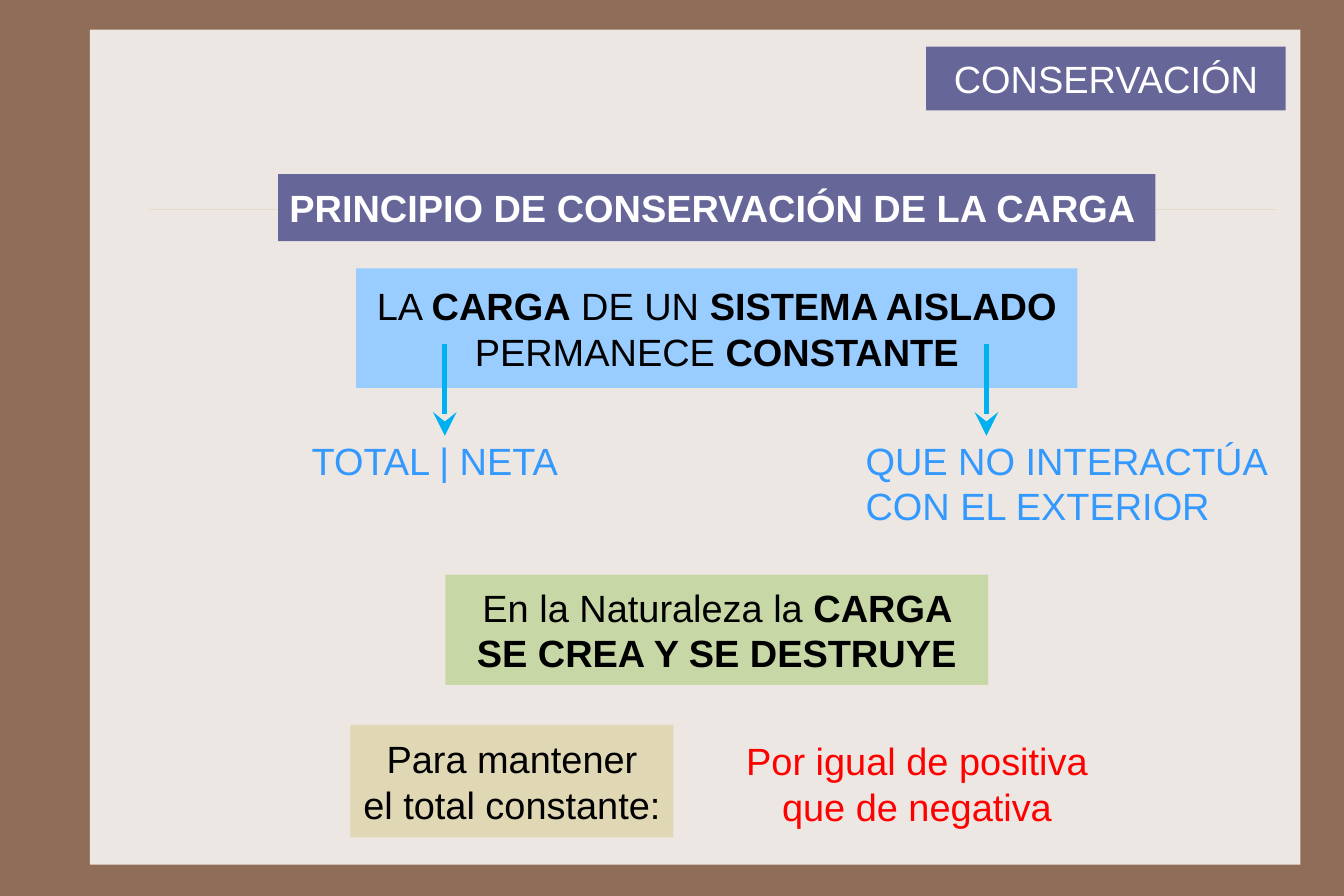
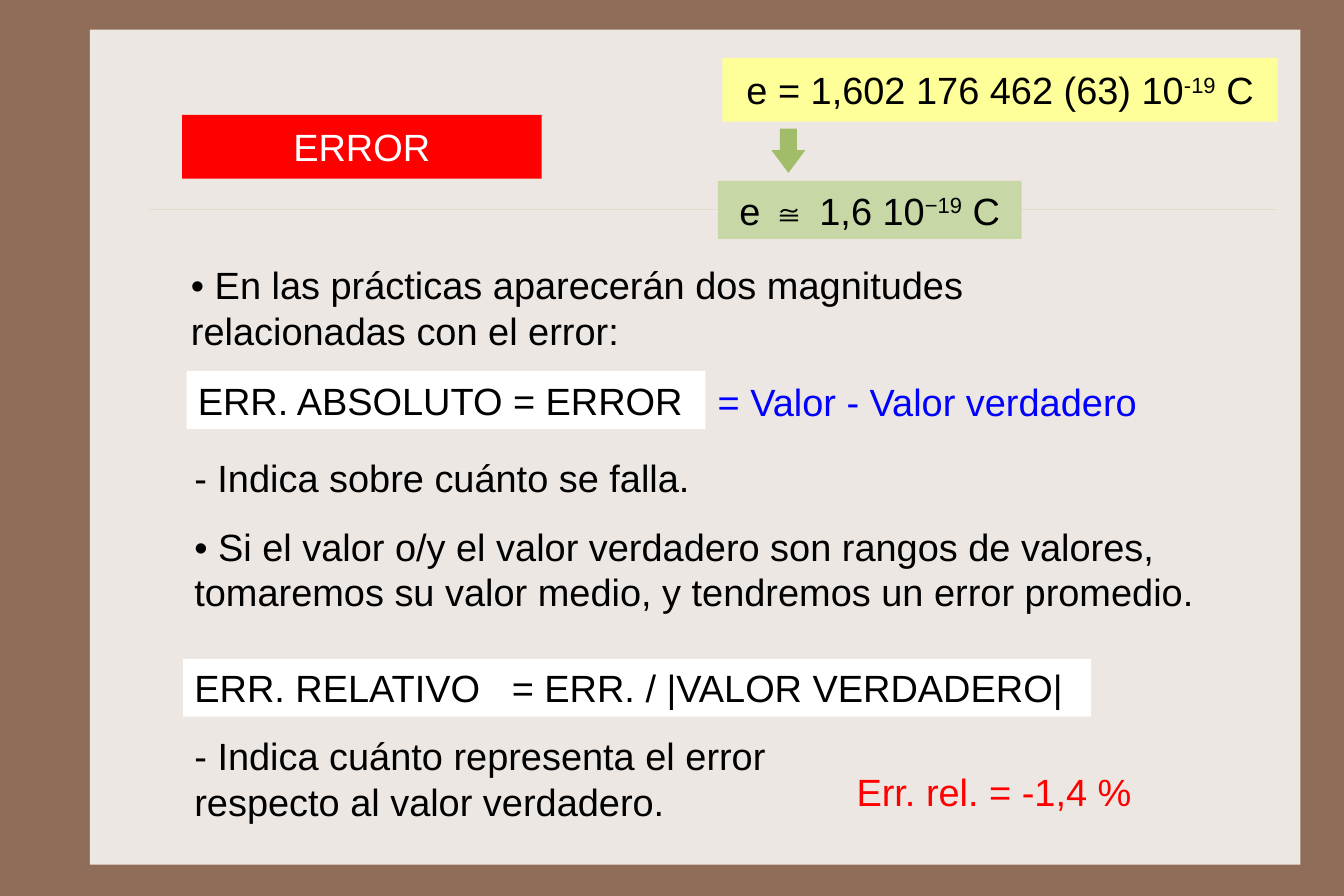
from lxml import etree
from pptx import Presentation
from pptx.dml.color import RGBColor
from pptx.enum.shapes import MSO_CONNECTOR, MSO_SHAPE
from pptx.enum.text import MSO_ANCHOR, MSO_AUTO_SIZE, PP_ALIGN
from pptx.oxml.ns import qn
from pptx.util import Inches, Pt

LEFT, CENTER = PP_ALIGN.LEFT, PP_ALIGN.CENTER
TOP, MIDDLE = MSO_ANCHOR.TOP, MSO_ANCHOR.MIDDLE
NO_AUTOFIT = MSO_AUTO_SIZE.NONE
RECT, DOWN_ARROW = MSO_SHAPE.RECTANGLE, MSO_SHAPE.DOWN_ARROW
STRAIGHT = MSO_CONNECTOR.STRAIGHT

BROWN = RGBColor(0x90, 0x6D, 0x58)
PAPER = RGBColor(0xED, 0xE7, 0xE3)
RULE = RGBColor(0xCB, 0xBD, 0x83)
PURPLE = RGBColor(0x66, 0x66, 0x99)
SKY = RGBColor(0x99, 0xCC, 0xFF)
CYAN = RGBColor(0x00, 0xB0, 0xF0)
AZURE = RGBColor(0x33, 0x99, 0xFF)
BLUE = RGBColor(0x00, 0x00, 0xFF)
PALE_GREEN = RGBColor(0xC7, 0xD7, 0xA5)
GREEN = RGBColor(0xA1, 0xBD, 0x69)
SAND = RGBColor(0xE0, 0xD7, 0xB5)
YELLOW = RGBColor(0xFF, 0xFF, 0x99)
RED = RGBColor(0xFF, 0x00, 0x00)
WHITE = RGBColor(0xFF, 0xFF, 0xFF)
BLACK = RGBColor(0x00, 0x00, 0x00)

FONT, SIZE = "Arial", 24
WIDTH, HEIGHT = Pt(850.5), Pt(567)
TITLE_SIZE = (3.16, 0.56)
MID_X = 6.3          # axis of the stacked boxes
TEXT_X = 1.61        # left edge of the body text
ONE_LINE, TWO_LINES = 0.51, 0.91
BOLD, SUPER = "bold", "super"


def centred(y, w, h):
    return MID_X - w / 2, y, w, h


def add_tab_stop(p, inches):
    stops = etree.SubElement(p._p.get_or_add_pPr(), qn("a:tabLst"))
    stop = etree.SubElement(stops, qn("a:tab"))
    stop.set("pos", str(Inches(inches)))
    stop.set("algn", "l")


def write(s, paragraphs, color=BLACK, align=LEFT, anchor=MIDDLE, tab=None):
    """Fill a shape; a paragraph is a string or a list of (text, style)."""
    tf = s.text_frame
    frame = dict(word_wrap=True, auto_size=NO_AUTOFIT, vertical_anchor=anchor,
                 margin_left=Inches(0.1), margin_right=Inches(0.1),
                 margin_top=Inches(0.05), margin_bottom=Inches(0.05))
    for name, value in frame.items():
        setattr(tf, name, value)
    for i, runs in enumerate(paragraphs):
        p = tf.add_paragraph() if i else tf.paragraphs[0]
        p.alignment = align
        if tab:
            add_tab_stop(p, tab)
        if isinstance(runs, str):
            runs = [(runs, None)]
        for text, style in runs:
            r = p.add_run()
            r.text = text
            font = dict(name=FONT, size=Pt(SIZE), bold=style == BOLD)
            for name, value in font.items():
                setattr(r.font, name, value)
            r.font.color.rgb = color
            if style == SUPER:
                r._r.get_or_add_rPr().set("baseline", "30000")


def add_block(slide, box, fill, kind=RECT):
    s = slide.shapes.add_shape(kind, *map(Inches, box))
    s.shadow.inherit = False
    s.fill.solid()
    s.fill.fore_color.rgb = fill
    s.line.fill.background()
    return s


def add_box(slide, box, fill, *paragraphs, **look):
    write(add_block(slide, box, fill), paragraphs, **look)


def add_text(slide, box, *paragraphs, **look):
    write(slide.shapes.add_textbox(*map(Inches, box)), paragraphs, **look)


def add_line(slide, start, end, color, width):
    s = slide.shapes.add_connector(STRAIGHT, *map(Inches, start + end))
    s.line.color.rgb = color
    s.line.width = Pt(width)
    etree.SubElement(s._element.spPr, qn("a:effectLst"))
    return s


def add_arrow(slide, start, end):
    s = add_line(slide, start, end, CYAN, 3)
    head = etree.SubElement(s._element.spPr.find(qn("a:ln")), qn("a:tailEnd"))
    for name, value in dict(type="stealth", w="lg", len="lg").items():
        head.set(name, value)


def add_slide(prs, title, x, y, fill):
    slide = prs.slides.add_slide(prs.slide_layouts[5])
    s = slide.shapes.title
    place = zip(("left", "top", "width", "height"), (x, y) + TITLE_SIZE)
    for name, value in place:
        setattr(s, name, Inches(value))
    s.fill.solid()
    s.fill.fore_color.rgb = fill
    write(s, [title], WHITE, CENTER)
    return slide


def style_master(prs, slide):
    """Put the frame, the paper panel and the faint rule on the master."""
    master = prs.slide_master
    master.background.fill.solid()
    master.background.fill.fore_color.rgb = BROWN
    panel = add_block(slide, (0.79, 0.26, 10.64, 7.34), PAPER)
    rule = add_line(slide, (1.31, 1.84), (11.22, 1.84), RULE, 0.25)
    rule_color = rule._element.spPr.find(".//" + qn("a:srgbClr"))
    etree.SubElement(rule_color, qn("a:alpha")).set("val", "40000")
    for i, s in enumerate((panel, rule)):
        master.shapes._spTree.insert(2 + i, s._element)


def fill_conservation(slide):
    add_box(slide, centred(1.53, 7.71, 0.59), PURPLE,
            [("PRINCIPIO DE CONSERVACIÓN DE LA CARGA", BOLD)], color=WHITE)
    add_box(slide, centred(2.36, 6.34, 1.05), SKY,
            [("LA ", None), ("CARGA", BOLD), (" DE UN ", None),
             ("SISTEMA AISLADO", BOLD), (" PERMANECE ", None),
             ("CONSTANTE", BOLD)], align=CENTER)
    add_box(slide, centred(5.05, 4.77, 0.97), PALE_GREEN,
            [("En la Naturaleza la ", None),
             ("CARGA SE CREA Y SE DESTRUYE", BOLD)], align=CENTER)
    remarks = [(3.91, (2.64, 3.79, 2.39, ONE_LINE), "TOTAL | NETA"),
               (8.67, (7.51, 3.79, 4.3, TWO_LINES),
                "QUE NO INTERACTÚA CON EL EXTERIOR")]
    for arrow_x, box, text in remarks:
        add_arrow(slide, (arrow_x, 3.02), (arrow_x, 3.83))
        add_text(slide, box, text, color=AZURE)
    add_box(slide, (3.08, 6.37, 2.84, 0.99), SAND,
            "Para mantener", "el total constante:", align=CENTER)
    add_text(slide, (6.31, 6.39, 3.5, 0.99),
             "Por igual de positiva que de negativa", color=RED, align=CENTER)


def fill_error(slide):
    add_box(slide, (6.35, 0.51, 4.88, 0.56), YELLOW,
            [("e = 1,602 176 462 (63) 10", None), ("-19", SUPER), (" C", None)],
            align=CENTER)
    arrow = add_block(slide, (6.78, 1.13, 0.3, 0.39), GREEN, DOWN_ARROW)
    arrow.adjustments[1] = 0.67
    add_box(slide, (6.31, 1.59, 2.67, ONE_LINE), PALE_GREEN,
            [("e ≅ 1,6 10", None), ("−19", SUPER), (" C", None)], align=CENTER)

    remarks = [
        (1.58, 2.25, 7.39, TWO_LINES, "• En las prácticas aparecerán dos "
         "magnitudes relacionadas con el error:"),
        (TEXT_X, 3.95, 9.54, ONE_LINE, "- Indica sobre cuánto se falla."),
        (TEXT_X, 4.55, 10, TWO_LINES, "• Si el valor o/y el valor verdadero "
         "son rangos de valores, tomaremos su valor medio, y tendremos un "
         "error promedio."),
        (TEXT_X, 6.39, 5.28, TWO_LINES, "- Indica cuánto representa el error "
         "respecto al valor verdadero."),
    ]
    for *box, text in remarks:
        add_text(slide, box, text, anchor=TOP)

    add_box(slide, (1.64, 3.26, 4.56, ONE_LINE), WHITE,
            "ERR. ABSOLUTO = ERROR")
    add_text(slide, (6.21, 3.27, 3.97, ONE_LINE), "= Valor - Valor verdadero",
             color=BLUE)
    add_box(slide, (TEXT_X, 5.79, 7.98, ONE_LINE), WHITE,
            "ERR. RELATIVO\t= ERR. / |VALOR VERDADERO|", tab=2.79)
    add_text(slide, (7.43, 6.7, 2.64, ONE_LINE), "Err. rel. = -1,4 %",
             color=RED)


def main():
    prs = Presentation()
    prs.slide_width, prs.slide_height = WIDTH, HEIGHT
    conservation = add_slide(prs, "CONSERVACIÓN", 8.14, 0.41, PURPLE)
    style_master(prs, conservation)
    fill_conservation(conservation)
    fill_error(add_slide(prs, "ERROR", 1.6, 1.01, RED))
    prs.save("out.pptx")


if __name__ == "__main__":
    main()
